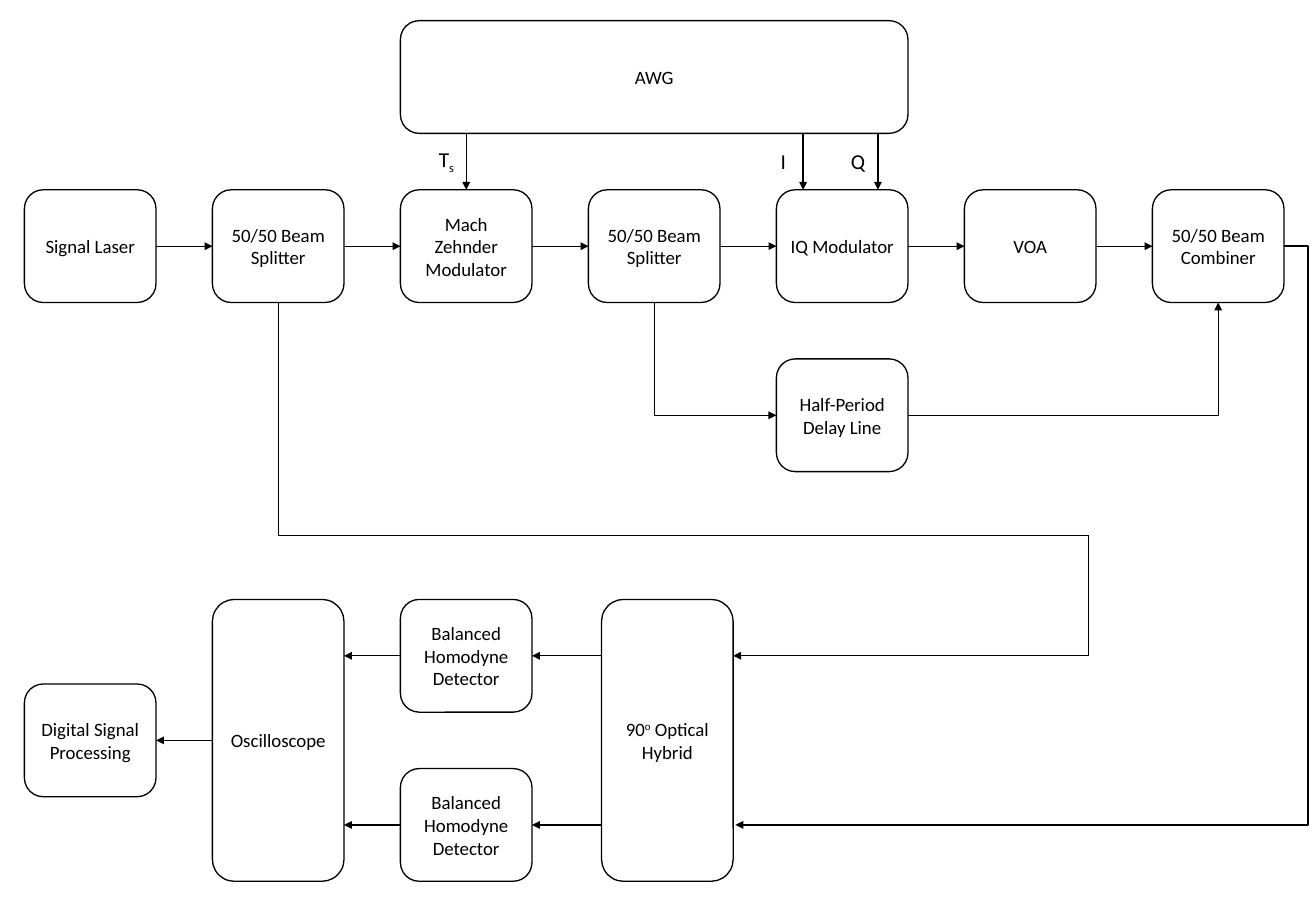
"""Build the block diagram of an optical transmitter and receiver on one slide."""
from lxml import etree
from pptx import Presentation
from pptx import util as u
from pptx.dml.color import RGBColor
from pptx.enum import shapes, text
from pptx.oxml import ns

BLACK, WHITE = "000000", "FFFFFF"
WIDTH, HEIGHT, PITCH = 3.5, 3, 5
columns = [0.65 + PITCH * i for i in range(7)]
TOP_ROW, DELAY_ROW, UPPER_ROW, LOWER_ROW = 5.05, 9.55, 15.95, 20.45
AWG_TOP, DSP_TOP, HYBRID_LEFT = 0.55, 18.2, 16
HALF = HEIGHT / 2

deck = Presentation()
deck.slide_width, deck.slide_height = u.Cm(35), u.Cm(24)
page = deck.slides.add_slide(deck.slide_layouts[6])


def add_box(kind, frame, pieces, size, outlined, **layout):
    box = page.shapes.add_shape(kind, *[u.Cm(value) for value in frame])
    box.shadow.inherit = False
    box.fill.solid()
    box.fill.fore_color.rgb = RGBColor.from_string(WHITE)
    if outlined:
        box.line.color.rgb = RGBColor.from_string(BLACK)
        box.line.width = u.Pt(1)
    else:
        box.line.fill.background()
    for name, value in layout.items():
        setattr(box.text_frame, name, value)
    box.text_frame.vertical_anchor = text.MSO_ANCHOR.MIDDLE
    para = box.text_frame.paragraphs[0]
    para.alignment = text.PP_ALIGN.CENTER
    for words, baseline in pieces:
        span = para.add_run()
        span.text = words
        for name, value in {"name": "Calibri", "size": u.Pt(size)}.items():
            setattr(span.font, name, value)
        span.font.color.rgb = RGBColor.from_string(BLACK)
        if baseline:
            span._r.get_or_add_rPr().set("baseline", str(baseline * 1000))


def add_wire(points, arrow="tailEnd", bend=None, shift=None):
    kind = shapes.MSO_CONNECTOR.ELBOW if bend else shapes.MSO_CONNECTOR.STRAIGHT
    wire = page.shapes.add_connector(kind, *[u.Cm(value) for value in points])
    wire.line.color.rgb = RGBColor.from_string(BLACK)
    wire.line.width = u.Pt(1)
    if arrow:
        etree.SubElement(wire.line._get_or_add_ln(), ns.qn("a:" + arrow), type="triangle")
    properties = wire._element.spPr
    etree.SubElement(properties, ns.qn("a:effectLst"))
    if bend:
        geometry = properties.find(ns.qn("a:prstGeom"))
        geometry.set("prst", bend)
        if shift is not None:
            guides = geometry.find(ns.qn("a:avLst"))
            etree.SubElement(guides, ns.qn("a:gd"), name="adj1", fmla=f"val {round(shift * 100000)}")


chain = ["Signal Laser", "50/50 Beam Splitter", "Mach Zehnder Modulator", "50/50 Beam Splitter",
         "IQ Modulator", "VOA", "50/50 Beam Combiner"]
blocks = [(left, TOP_ROW, WIDTH, HEIGHT, [(name, 0)]) for left, name in zip(columns, chain)]
blocks += [
    (columns[2], AWG_TOP, 2 * PITCH + WIDTH, HEIGHT, [("AWG", 0)]),
    (columns[4], DELAY_ROW, WIDTH, HEIGHT, [("Half-Period Delay Line", 0)]),
    (HYBRID_LEFT, UPPER_ROW, WIDTH, 7.5, [("90", 0), ("o", 30), (" Optical Hybrid", 0)]),
    (columns[1], UPPER_ROW, WIDTH, 7.5, [("Oscilloscope", 0)]),
    (columns[0], DSP_TOP, WIDTH, HEIGHT, [("Digital Signal Processing", 0)]),
]
blocks += [(columns[2], top, WIDTH, HEIGHT, [("Balanced Homodyne Detector", 0)])
           for top in (UPPER_ROW, LOWER_ROW)]
margins = {"margin_left": u.Cm(0.2), "margin_right": u.Cm(0.2),
           "margin_top": u.Cm(0.1), "margin_bottom": u.Cm(0.1), "word_wrap": True}
for *frame, pieces in blocks:
    add_box(shapes.MSO_SHAPE.ROUNDED_RECTANGLE, frame, pieces, 14.2, True, **margins)

top_mid, delay_mid = TOP_ROW + HALF, DELAY_ROW + HALF
upper_mid, lower_mid, dsp_mid = UPPER_ROW + HALF, LOWER_ROW + HALF, DSP_TOP + HALF
for left, following in zip(columns, columns[1:]):
    add_wire((left + WIDTH, top_mid, following, top_mid))
for middle in (upper_mid, lower_mid):
    add_wire((HYBRID_LEFT, middle, columns[2] + WIDTH, middle))
    add_wire((columns[2], middle, columns[1] + WIDTH, middle))
add_wire((columns[1], dsp_mid, columns[0] + WIDTH, dsp_mid))

drives = [(12.4, [("T", 0), ("s", -25)]), (21.36, [("I", 0)]), (23.35, [("Q", 0)])]
for x, pieces in drives:
    add_box(shapes.MSO_SHAPE.RECTANGLE, (x - 1.03, 3.81, 1, 0.94), pieces, 16, False, word_wrap=False)
    add_wire((x, AWG_TOP + HEIGHT, x, TOP_ROW))

row_bottom = TOP_ROW + HEIGHT
splitter_x, tap_x, combiner_x = [columns[i] + WIDTH / 2 for i in (1, 3, 6)]
hybrid_right = HYBRID_LEFT + WIDTH
add_wire((columns[4], delay_mid, tap_x, row_bottom), "headEnd", "bentConnector2")
add_wire((columns[4] + WIDTH, delay_mid, combiner_x, row_bottom), bend="bentConnector2")
add_wire((28.96, 14.25, splitter_x, row_bottom), None, "bentConnector2")
add_wire((28.63, 14.25, hybrid_right, upper_mid), bend="bentConnector3", shift=-0.036)
add_wire((columns[6] + WIDTH, top_mid, hybrid_right + 0.06, lower_mid), bend="bentConnector3", shift=-0.044)

deck.save("out.pptx")
